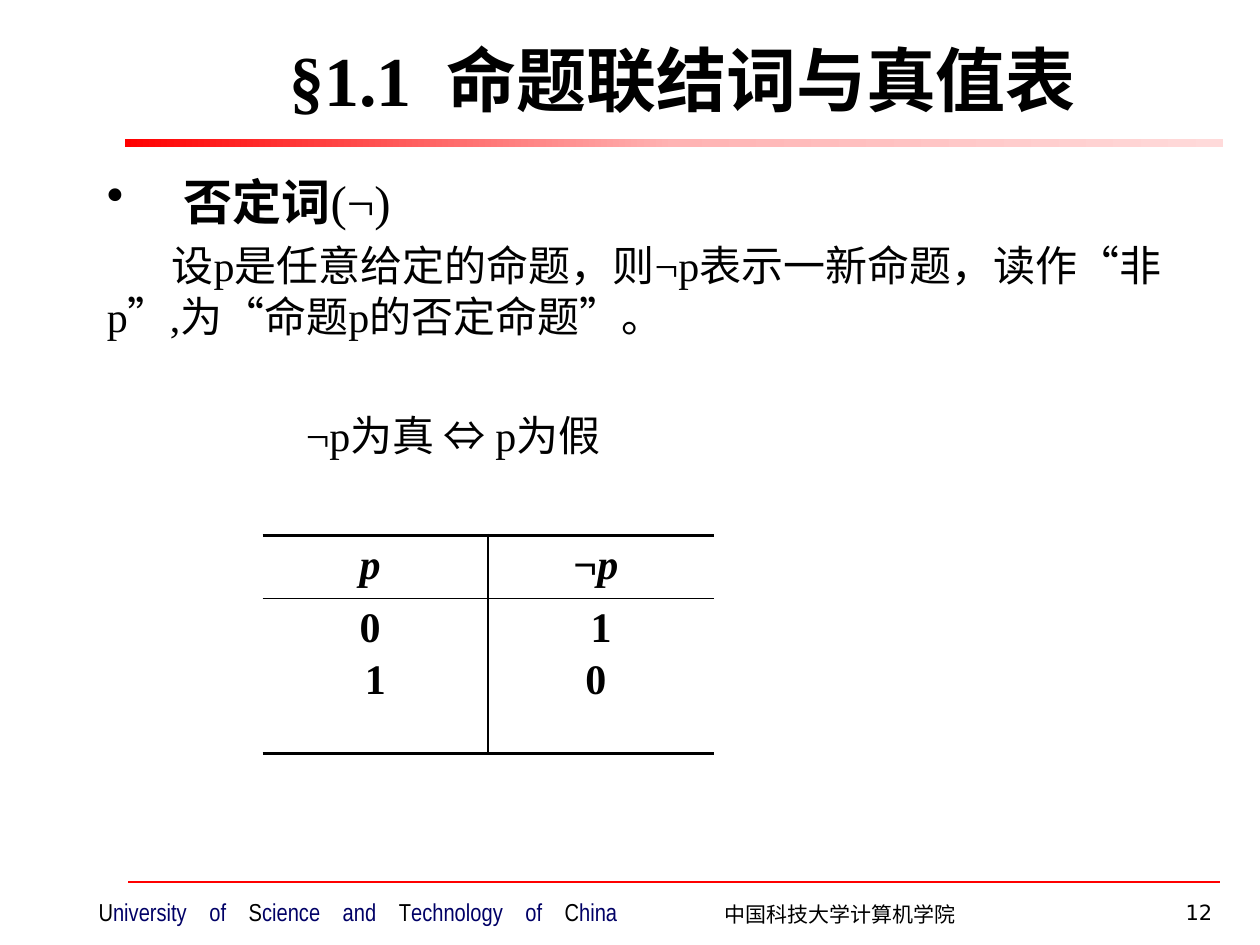
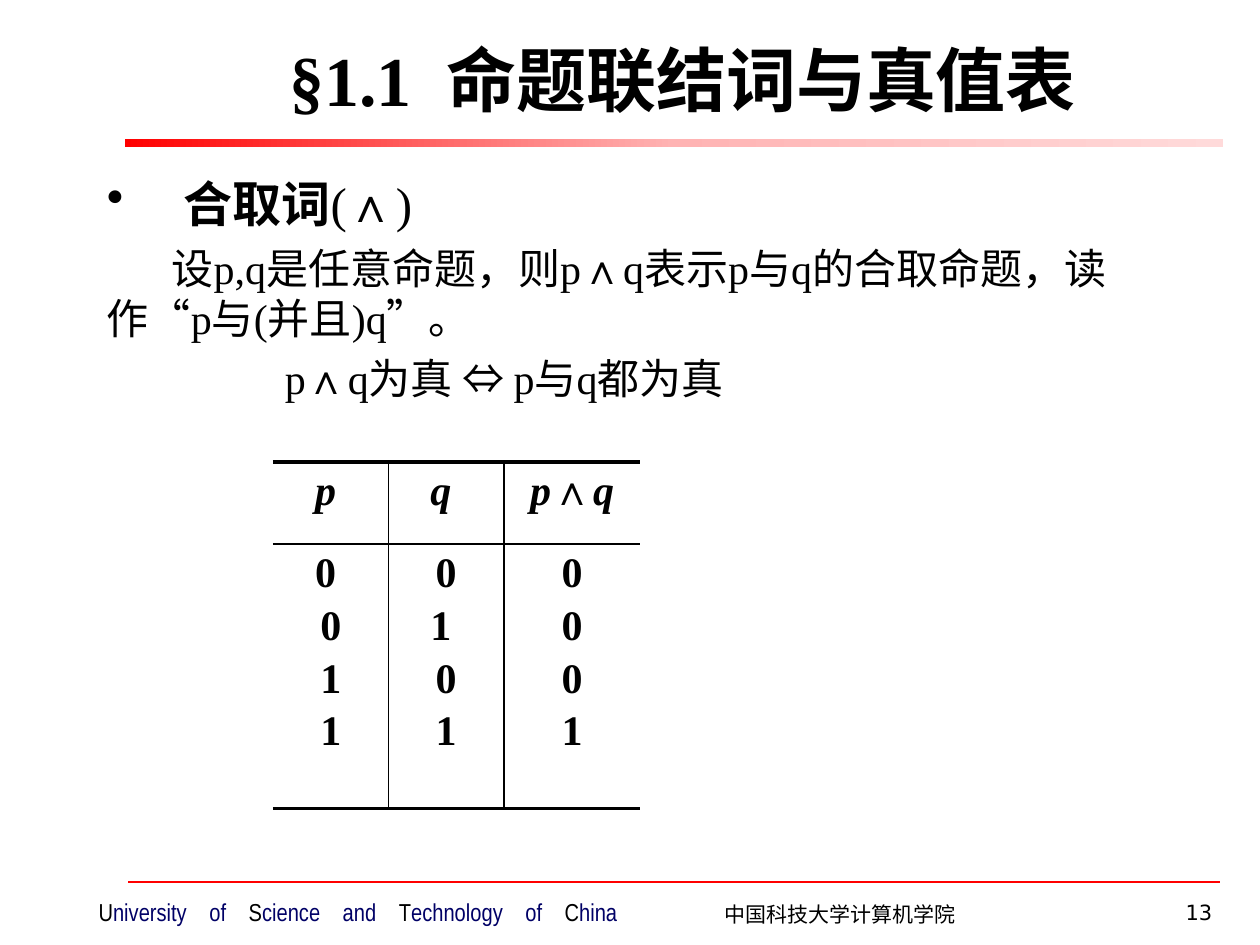
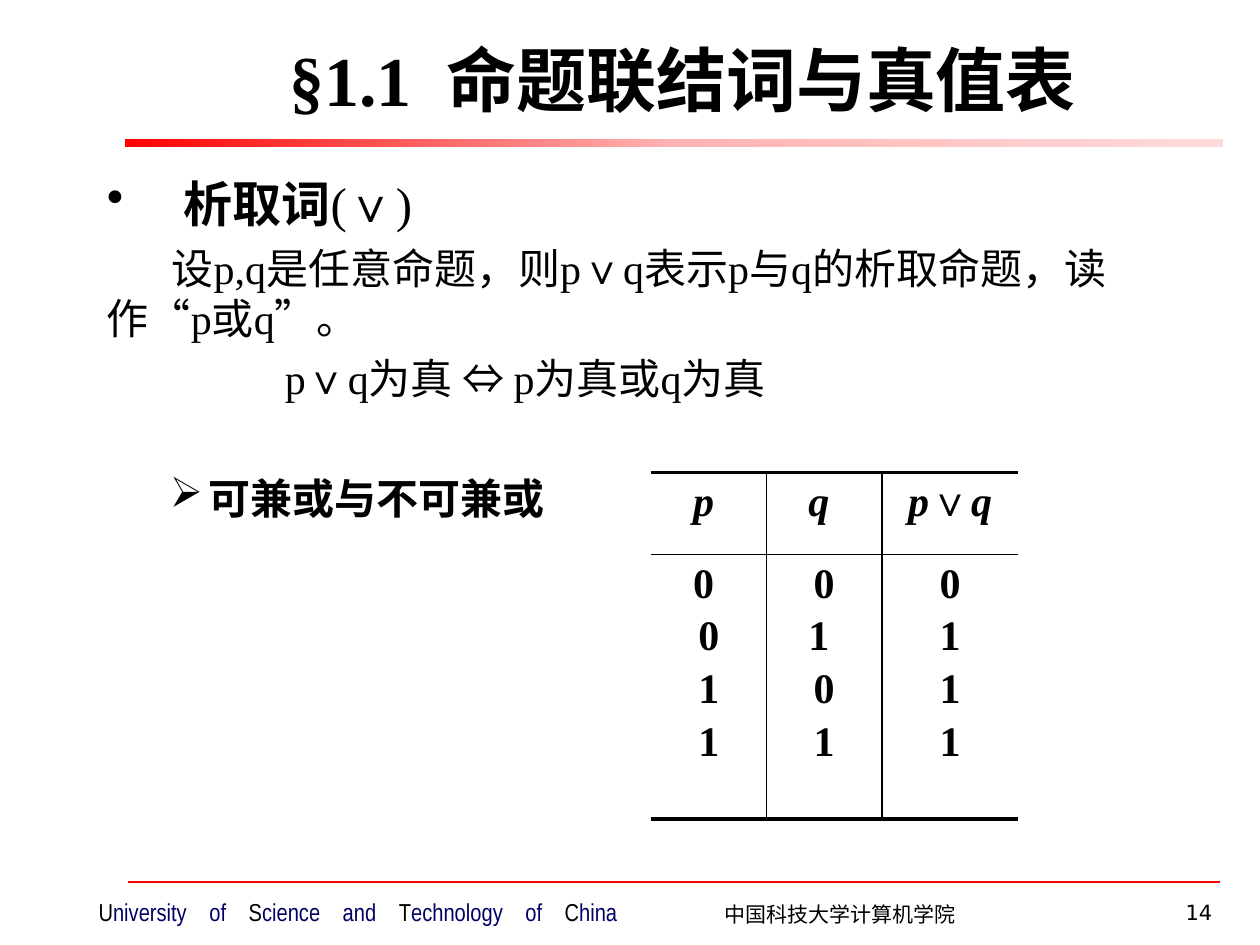
from itertools import groupby

from lxml import etree
from pptx import Presentation
from pptx.dml.color import RGBColor
from pptx.enum.dml import MSO_FILL
from pptx.enum.lang import MSO_LANGUAGE_ID as Language
from pptx.enum.shapes import MSO_CONNECTOR, MSO_SHAPE
from pptx.enum.text import MSO_ANCHOR as Anchor, PP_ALIGN as Align
from pptx.oxml import parse_xml
from pptx.oxml.ns import nsdecls, qn
from pptx.util import Pt

# Shared style
BLACK = RGBColor(0x00, 0x00, 0x00)
WHITE = RGBColor(0xFF, 0xFF, 0xFF)
NAVY = RGBColor(0x00, 0x00, 0x66)
RED = RGBColor(0xFF, 0x00, 0x00)
BAND_STOPS = ((0, RED), (50, RGBColor(0xFF, 0xB3, 0xB3)), (100, RGBColor(0xFF, 0xDA, 0xDA)))
SERIF, SANS, NARROW = "Times New Roman", "DejaVu Sans", "Arial Narrow"

# Boxes: left, top, width, height in points
TITLE_BOX = (90, 18, 600, 53.3)
BAND_BOX = (71.3, 79.2, 627.8, 5)
NAME_BOX = (83.5, 509, 242, 24.5)
SCHOOL_BOX = (399.6, 511.9, 161.3, 21.6)
NUMBER_BOX = (581, 510.5, 118.8, 21.6)
FOOTER_LINE = (73.4, 504, 697)

TITLE_PARTS = ("§1.1", "命题联结词与真值表")
UNIVERSITY = "University of Science and Technology of China"
SCHOOL = "中国科技大学计算机学院"
THIN, THICK = 1, 2.25
PARAGRAPH_GAP, SECTION_GAP, CELL_GAP = 5.5, 39.4, 3.6
FIRST_LINE = 37


def points(box):
    return [Pt(value) for value in box]


def set_font(font, name, size, color=BLACK, bold=None):
    font.name, font.size, font.bold = name, Pt(size), bold
    font.color.rgb = color


def add_run(paragraph, text, bold=None, italic=None, color=None, spacing=None):
    run = paragraph.add_run()
    run.text = text
    run.font.bold, run.font.italic = bold, italic
    run.font.language_id = Language.SIMPLIFIED_CHINESE
    if color is not None:
        run.font.color.rgb = color
    if spacing is not None:
        run.font._element.set("spc", str(round(spacing * 100)))


def add_text_box(slide, box, align=Align.LEFT, anchor=Anchor.TOP):
    frame = slide.shapes.add_textbox(*points(box)).text_frame
    frame.word_wrap = True
    frame.vertical_anchor = anchor
    frame.paragraphs[0].alignment = align
    return frame


def add_title(slide, box):
    paragraph = add_text_box(slide, box, Align.CENTER, Anchor.MIDDLE).paragraphs[0]
    set_font(paragraph.font, SERIF, 40, bold=True)
    number, words = TITLE_PARTS
    add_run(paragraph, number, bold=True)
    add_run(paragraph, " ", bold=True, spacing=10)
    add_run(paragraph, words, bold=True)


def add_band(slide, box):
    band = slide.shapes.add_shape(MSO_SHAPE.RECTANGLE, *points(box))
    band.shadow.inherit = False
    band.line.fill.background()
    stops = "".join(
        f'<a:gs pos="{position * 1000}"><a:srgbClr val="{color}"/></a:gs>'
        for position, color in BAND_STOPS)
    gradient = parse_xml(f'<a:gradFill {nsdecls("a")} rotWithShape="1"><a:gsLst>{stops}</a:gsLst>'
                         '<a:lin ang="0" scaled="1"/></a:gradFill>')
    band._element.spPr.find(qn("a:prstGeom")).addnext(gradient)


def add_university_name(slide, box):
    plate = slide.shapes.add_shape(MSO_SHAPE.RECTANGLE, *points(box))
    plate.shadow.inherit = False
    plate.line.fill.background()
    plate.fill.solid()
    plate.fill.fore_color.rgb = WHITE
    color = plate._element.spPr.find(qn("a:solidFill"))[0]
    etree.SubElement(color, qn("a:alpha"), val="50000")
    frame = plate.text_frame
    frame.word_wrap = False
    frame.vertical_anchor = Anchor.MIDDLE
    paragraph = frame.paragraphs[0]
    paragraph.alignment = Align.CENTER
    set_font(paragraph.font, NARROW, 14, NAVY)
    # Capitals are black, the rest navy, with wide word gaps
    for is_space, group in groupby(UNIVERSITY, str.isspace):
        word = "".join(group)
        if is_space:
            add_run(paragraph, word, color=NAVY, spacing=9.6)
        elif word[0].isupper():
            add_run(paragraph, word[0], color=BLACK)
            add_run(paragraph, word[1:], color=NAVY)
        else:
            add_run(paragraph, word, color=NAVY)


def add_footer(slide, number):
    add_university_name(slide, NAME_BOX)
    for box, text, align in ((SCHOOL_BOX, SCHOOL, Align.CENTER),
                             (NUMBER_BOX, str(number), Align.RIGHT)):
        paragraph = add_text_box(slide, box, align).paragraphs[0]
        set_font(paragraph.font, SANS, 12)
        add_run(paragraph, text)
    left, top, right = FOOTER_LINE
    line = slide.shapes.add_connector(MSO_CONNECTOR.STRAIGHT, Pt(left), Pt(top), Pt(right), Pt(top))
    line.line.color.rgb = RED
    line.line.width = Pt(0.75)
    etree.SubElement(line._element.spPr, qn("a:effectLst"))


def set_indent(paragraph, left, first, bullet=None):
    properties = paragraph._p.get_or_add_pPr()
    properties.set("marL", str(Pt(left)))
    properties.set("indent", str(Pt(first)))
    if bullet:
        etree.SubElement(properties, qn("a:buChar"), char=bullet)


def add_body(slide, box, term, symbol, definition, rule, rule_indent, rule_gap, remark=None):
    frame = add_text_box(slide, box)
    # Heading with the connective
    heading = frame.paragraphs[0]
    set_indent(heading, 44, -44, "•")
    heading.space_before = Pt(PARAGRAPH_GAP)
    set_font(heading.font, SERIF, 28)
    add_run(heading, term, bold=True)
    add_run(heading, f"({symbol})", bold=False)
    # Definition, truth rule and optional remark
    lines = [(definition, 0, FIRST_LINE, None, PARAGRAPH_GAP),
             (rule, 0, rule_indent, None, rule_gap)]
    if remark:
        lines.append((remark, 58.3, -22.3, "➢", SECTION_GAP))
    for text, left, first, bullet, gap in lines:
        paragraph = frame.add_paragraph()
        set_indent(paragraph, left, first, bullet)
        paragraph.space_before = Pt(gap)
        set_font(paragraph.font, SERIF, 24)
        add_run(paragraph, text, bold=bullet is not None)


def set_borders(cell, left, right, top, bottom):
    properties = cell._tc.get_or_add_tcPr()
    widths = (("lnL", left), ("lnR", right), ("lnT", top), ("lnB", bottom))
    for index, (tag, width) in enumerate(widths):
        fill = f'<a:solidFill><a:srgbClr val="{BLACK}"/></a:solidFill>' if width else "<a:noFill/>"
        properties.insert(index, parse_xml(
            f'<a:{tag} {nsdecls("a")} w="{Pt(width)}">{fill}</a:{tag}>'))


def add_cell_paragraph(paragraph, text):
    paragraph.alignment = Align.CENTER
    paragraph.space_before = Pt(CELL_GAP)
    set_font(paragraph.font, SERIF, 24, bold=True)
    # Letters are italic; the binary connectives are light
    for (italic, bold), group in groupby(
            text, lambda sign: (sign in "pq ", sign not in "∧∨")):
        add_run(paragraph, "".join(group), bold, italic)


def add_truth_table(slide, left, top, widths, heights, columns):
    """Each column is its header followed by its values, which share one cell."""
    shape = slide.shapes.add_table(2, len(columns), Pt(left), Pt(top),
                                   Pt(sum(widths)), Pt(sum(heights)))
    table = shape.table
    table.first_row = table.horz_banding = False
    for row, height in zip(table.rows, heights):
        row.height = Pt(height)
    last = len(columns) - 1
    for index, (header, *values) in enumerate(columns):
        table.columns[index].width = Pt(widths[index])
        for row, texts in enumerate(([header], values)):
            cell = table.cell(row, index)
            cell.fill.background()
            set_borders(cell, THIN if index else 0, THIN if index < last else 0,
                        THIN if row else THICK, THICK if row else THIN)
            frame = cell.text_frame
            for position, text in enumerate(texts):
                paragraph = frame.add_paragraph() if position else frame.paragraphs[0]
                add_cell_paragraph(paragraph, text)


def add_connective_slide(presentation, number, body, table):
    slide = presentation.slides.add_slide(presentation.slide_layouts[6])
    add_band(slide, BAND_BOX)
    add_footer(slide, number)
    add_title(slide, TITLE_BOX)
    add_body(slide, **body)
    add_truth_table(slide, **table)


BINARY_BODY = dict(box=(54, 95.8, 635.8, 403.9), rule_indent=101.7, rule_gap=PARAGRAPH_GAP)
BINARY_TABLE = dict(widths=(66, 66, 78), heights=(46.8, 151.2))
P_COLUMN = ("p ", "0 ", "0", "1", "1")
Q_COLUMN = ("q ", "0", "1 ", "0", "1")

SLIDES = (
    # Negation
    (dict(box=(54, 94.3, 635.8, 356.4), term="否定词", symbol="¬",
          definition="设p是任意给定的命题，则¬p表示一新命题，读作“非p”,为“命题p的否定命题”。",
          rule="¬p为真 ⇔ p为假", rule_indent=113.7, rule_gap=SECTION_GAP),
     dict(left=150, top=306, widths=(129, 129), heights=(36, 88.6),
          columns=(("p ", "0 ", "1"), ("¬p ", "1", "0 ")))),
    # Conjunction
    (dict(term="合取词", symbol="∧",
          definition="设p,q是任意命题，则p∧q表示p与q的合取命题，读作“p与(并且)q”。",
          rule="p∧q为真 ⇔ p与q都为真", **BINARY_BODY),
     dict(left=156, top=264, columns=(P_COLUMN, Q_COLUMN, ("p∧q", "0", "0", "0", "1")),
          **BINARY_TABLE)),
    # Disjunction
    (dict(term="析取词", symbol="∨",
          definition="设p,q是任意命题，则p∨q表示p与q的析取命题，读作“p或q”。",
          rule="p∨q为真 ⇔ p为真或q为真", remark="可兼或与不可兼或", **BINARY_BODY),
     dict(left=372, top=270, columns=(P_COLUMN, Q_COLUMN, ("p∨q", "0", "1", "1", "1")),
          **BINARY_TABLE)),
)


def main():
    presentation = Presentation()
    presentation.slide_width, presentation.slide_height = Pt(720), Pt(540)
    for number, (body, table) in enumerate(SLIDES, start=12):
        add_connective_slide(presentation, number, body, table)
    presentation.save("out.pptx")


if __name__ == "__main__":
    main()
